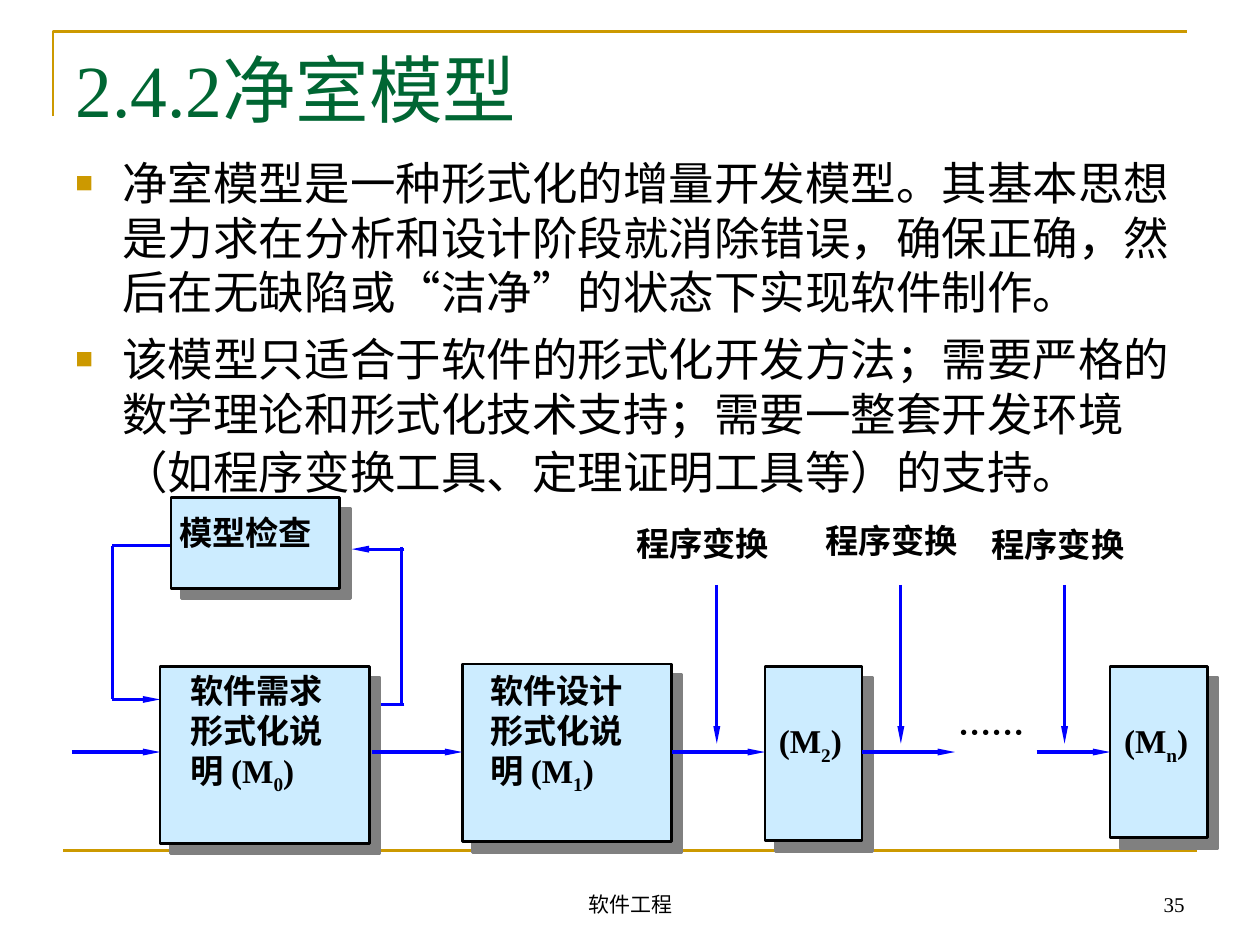
from dataclasses import dataclass

from lxml import etree
from pptx import Presentation
from pptx.dml.color import RGBColor
from pptx.enum.shapes import MSO_CONNECTOR, MSO_SHAPE
from pptx.enum.text import MSO_ANCHOR, PP_ALIGN
from pptx.oxml.ns import qn
from pptx.util import Cm, Pt

STRAIGHT = MSO_CONNECTOR.STRAIGHT
RECTANGLE = MSO_SHAPE.RECTANGLE
TOP, BOTTOM = MSO_ANCHOR.TOP, MSO_ANCHOR.BOTTOM
LEFT, CENTER, RIGHT, JUSTIFY = PP_ALIGN.LEFT, PP_ALIGN.CENTER, PP_ALIGN.RIGHT, PP_ALIGN.JUSTIFY


@dataclass(frozen=True)
class Theme:
    gold: str = "CC9900"
    green: str = "006633"
    black: str = "000000"
    blue: str = "0000FF"
    box_fill: str = "CCECFF"
    shadow: str = "808080"
    serif: str = "Times New Roman"
    sans: str = "Arial"
    chinese: str = "Noto Sans CJK SC"
    title_size: float = 42
    body_size: float = 26
    body_end_size: float = 28
    label_size: float = 19
    footer_size: float = 12
    frame_width: float = 1.5
    arrow_width: float = 1.75


class SlideBuilder:
    def __init__(self, slide, theme):
        self.slide = slide
        self.theme = theme

    def run(self, paragraph, text, size, font, color=None, bold=False, baseline=0):
        run = paragraph.add_run()
        run.text = text
        run.font.size = Pt(size)
        run.font.bold = bold
        run.font.name = font
        run.font.color.rgb = RGBColor.from_string(color or self.theme.black)
        properties = run.font._element
        properties.set("lang", "zh-CN")
        if baseline:
            properties.set("baseline", str(baseline * 1000))
        etree.SubElement(properties, qn("a:ea")).set("typeface", self.theme.chinese)

    def text_frame(self, left, top, width, height, anchor=TOP, side_inset=0.25):
        box = self.slide.shapes.add_textbox(Cm(left), Cm(top), Cm(width), Cm(height))
        frame = box.text_frame
        frame.word_wrap = True
        frame.vertical_anchor = anchor
        frame.margin_left = frame.margin_right = Cm(side_inset)
        frame.margin_top = frame.margin_bottom = Cm(0.13)
        return frame

    def plain_text(self, area, text, size, color=None, align=LEFT, anchor=TOP):
        paragraph = self.text_frame(*area, anchor=anchor).paragraphs[0]
        paragraph.alignment = align
        self.run(paragraph, text, size, self.theme.serif, color)

    def bullet(self, paragraph, space_before):
        paragraph.space_before = Pt(space_before)
        properties = paragraph._p.get_or_add_pPr()
        properties.set("marL", str(Cm(0.95)))
        properties.set("indent", str(-Cm(0.95)))
        color = etree.SubElement(properties, qn("a:buClr"))
        etree.SubElement(color, qn("a:srgbClr")).set("val", self.theme.gold)
        etree.SubElement(properties, qn("a:buSzPct")).set("val", "65000")
        etree.SubElement(properties, qn("a:buFont")).set("typeface", self.theme.sans)
        etree.SubElement(properties, qn("a:buChar")).set("char", "■")

    def label(self, area, lines, subscript=None, font=None):
        """Bold lines; a subscript and a closing bracket follow the last one."""
        frame = self.text_frame(*area, side_inset=0.23)
        style = (self.theme.label_size, font or self.theme.serif, None, True)
        for index, line in enumerate(lines):
            paragraph = frame.add_paragraph() if index else frame.paragraphs[0]
            paragraph.alignment = JUSTIFY
            self.run(paragraph, line, *style)
        if subscript:
            self.run(paragraph, subscript, *style, baseline=-25)
            self.run(paragraph, ")", *style)

    def box(self, left, top, width, height):
        shape = self.slide.shapes.add_shape(RECTANGLE, Cm(left), Cm(top), Cm(width), Cm(height))
        shape.fill.solid()
        shape.fill.fore_color.rgb = RGBColor.from_string(self.theme.box_fill)
        shape.line.color.rgb = RGBColor.from_string(self.theme.black)
        shape.line.width = Pt(self.theme.frame_width)
        shape.shadow.inherit = False
        effects = shape._element.spPr.find(qn("a:effectLst"))
        shadow = etree.SubElement(effects, qn("a:outerShdw"), dist=str(Pt(8.5)),
                                  dir="2700000", algn="ctr", rotWithShape="0")
        etree.SubElement(shadow, qn("a:srgbClr")).set("val", self.theme.shadow)

    def line(self, start, end, arrow=False, color=None, width=None):
        connector = self.slide.shapes.add_connector(STRAIGHT, *map(Cm, start + end))
        connector.line.color.rgb = RGBColor.from_string(color or self.theme.blue)
        connector.line.width = Pt(width or self.theme.arrow_width)
        if arrow:
            outline = connector.line._get_or_add_ln()
            etree.SubElement(outline, qn("a:tailEnd"), type="triangle", w="sm", len="lg")
        etree.SubElement(connector._element.spPr, qn("a:effectLst"))

    def bracket(self, points):
        (first, *rest) = [(Cm(x), Cm(y)) for x, y in points]
        builder = self.slide.shapes.build_freeform(*first)
        builder.add_line_segments(rest, close=False)
        shape = builder.convert_to_shape()
        shape.fill.background()
        shape.line.color.rgb = RGBColor.from_string(self.theme.gold)
        shape.line.width = Pt(self.theme.frame_width)
        shape.shadow.inherit = False


def main():
    presentation = Presentation()
    presentation.slide_width, presentation.slide_height = Cm(25.4), Cm(19.05)
    theme = Theme()
    builder = SlideBuilder(presentation.slides.add_slide(presentation.slide_layouts[6]), theme)

    # Frame lines
    builder.bracket([(1.07, 2.34), (1.07, 0.64), (23.93, 0.64)])
    builder.line((1.27, 17.15), (24.13, 17.15), color=theme.gold, width=theme.frame_width)

    # Title and body
    builder.plain_text((1.27, 0.76, 22.86, 3.18), "2.4.2净室模型", theme.title_size, theme.green)
    body = builder.text_frame(1.27, 3, 22.86, 15.14)
    first, second = body.paragraphs[0], body.add_paragraph()
    builder.bullet(first, 6.5)
    builder.run(first, "净室模型是一种形式化的增量开发模型。其基本思想是力求在分析和设计阶段就消除错误，"
                "确保正确，然后在无缺陷或“洁净”的状态下实现软件制作。", theme.body_size, theme.sans)
    builder.bullet(second, 7)
    builder.run(second, "该模型只适合于软件的形式化开发方法；需要严格的数学理论和形式化技术支持；"
                "需要一整套开发环境（如程序变换工具、定理证明工具等）的支持。", theme.body_size, theme.sans)
    builder.run(second, " ", theme.body_end_size, theme.chinese, bold=True)

    # Checking loop
    loop_left, loop_right = 2.26, 8.1
    builder.line((3.84, 11), (loop_left, 11))
    builder.line((loop_left, 11), (loop_left, 14.1))
    builder.line((loop_left, 14.1), (3.23, 14.1), arrow=True)
    builder.line((8.15, 14.2), (7.47, 14.2))
    builder.line((loop_right, 11.02), (loop_right, 14.2))
    builder.line((8.15, 11.07), (7.09, 11.07), arrow=True)

    # Boxes: outline, label area, lines, subscript
    boxes = [
        ((3.45, 10.03, 3.4, 1.83), (3.38, 10.19, 3.68, 1.73), ["模型检查"], None),
        ((3.23, 13.44, 4.22, 3.56), (3.61, 13.39, 3.84, 3.68), ["软件需求", "形式化说", "明 (M"], "0"),
        ((9.32, 13.39, 4.22, 3.58), (9.65, 13.39, 3.76, 3.45), ["软件设计", "形式化说", "明 (M"], "1"),
        ((15.42, 13.44, 1.96, 3.51), (15.47, 14.4, 2.08, 1.83), ["(M"], "2"),
        ((22.38, 13.44, 1.96, 3.45), (22.43, 14.4, 2.08, 1.83), ["(M"], "n"),
    ]
    for outline, area, lines, subscript in boxes:
        builder.box(*outline)
        builder.label(area, lines, subscript)
    builder.label((19.1, 14.22, 2.18, 1.93), ["……"], font=theme.chinese)

    # Main flow
    for start, end in [(1.45, 3.23), (7.49, 9.32), (13.54, 15.42), (17.37, 19.25), (20.9, 22.38)]:
        builder.line((start, 15.16), (end, 15.16), arrow=True)

    # Program transformations
    for arrow_x, left, top in [(14.45, 12.6, 10.41), (18.16, 16.41, 10.36), (21.46, 19.76, 10.44)]:
        builder.label((left, top, 3.89, 1.75), ["程序变换"])
        builder.line((arrow_x, 11.79), (arrow_x, 14.99), arrow=True)

    # Footer
    builder.plain_text((8.69, 17.35, 8.05, 1.27), "软件工程", theme.footer_size, align=CENTER, anchor=BOTTOM)
    builder.plain_text((18.21, 17.35, 5.92, 1.27), "35", theme.footer_size, align=RIGHT, anchor=BOTTOM)

    presentation.save("out.pptx")


if __name__ == "__main__":
    main()
